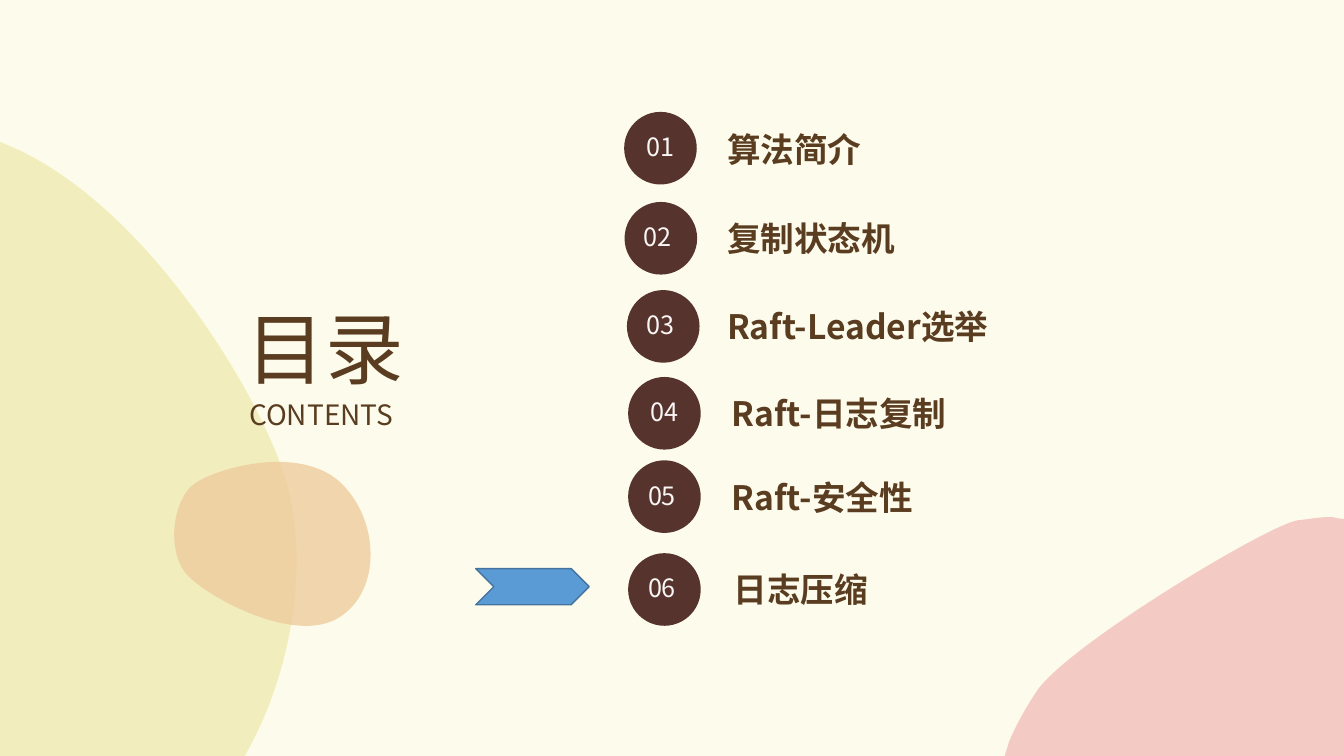
from lxml import etree
from pptx import Presentation
from pptx.dml.color import RGBColor
from pptx.enum.shapes import MSO_SHAPE
from pptx.enum.text import MSO_ANCHOR, MSO_AUTO_SIZE, PP_ALIGN
from pptx.oxml.ns import qn
from pptx.util import Cm, Pt

OVAL, ARROW = MSO_SHAPE.OVAL, MSO_SHAPE.CHEVRON
TOP, MIDDLE = MSO_ANCHOR.TOP, MSO_ANCHOR.MIDDLE
LEFT, CENTER = PP_ALIGN.LEFT, PP_ALIGN.CENTER
FIXED = MSO_AUTO_SIZE.NONE

THEME = {
    "font": "Noto Sans CJK SC",
    "paper": "FDFCEC", "brown": "5A3D20", "dot": "56342D", "pale": "FAF6F5",
    "pink": "F4CBC4", "green": "F1EDBC", "peach": "EECC9E",
    "blue": "5B9BD5", "navy": "43739E",
    "title": 56, "label": 24, "sub": 20, "digit": 18,
}
LINE = Pt(THEME["label"] * 1.2)


def write(para, text, size, color, align=CENTER, bold=False):
    para.alignment = align
    run = para.add_run()
    run.text = text
    run.font.color.rgb = RGBColor.from_string(THEME[color])
    look = {"name": THEME["font"], "size": Pt(THEME[size]), "bold": bold}
    for key, value in look.items():
        setattr(run.font, key, value)
    east = etree.SubElement(run._r.get_or_add_rPr(), qn("a:ea"))
    east.set("typeface", THEME["font"])


def paint(shape, color, edge=None):
    shape.shadow.inherit = False
    shape.fill.solid()
    shape.fill.fore_color.rgb = RGBColor.from_string(THEME[color])
    if edge:
        shape.line.color.rgb = RGBColor.from_string(THEME[edge])
        shape.line.width = Pt(1)
    else:
        shape.line.fill.background()


deck = Presentation()
deck.slide_width, deck.slide_height = Cm(33.87), Cm(19.05)
slide = deck.slides.add_slide(deck.slide_layouts[1])
slide.background.fill.solid()
slide.background.fill.fore_color.rgb = RGBColor.from_string(THEME["paper"])
shapes = slide.shapes
title, body = shapes.title, slide.placeholders[1]

blobs = [
    ("pink", 100, (33.48, 13.03), [
        (33.55, 13.03, 33.63, 13.03, 33.71, 13.06),
        (33.87, 13.08), (33.87, 19.05), (25.32, 19.05), (25.43, 18.69),
        (25.6, 18.29, 25.83, 17.86, 26.14, 17.4),
        (26.95, 16.23, 32.03, 13.18, 32.72, 13.11),
        (33, 13.08, 33.25, 13.03, 33.48, 13.03)]),
    ("green", 100, (0, 3.58), [
        (0, 19.05), (6.17, 19.05), (6.32, 18.77),
        (7.37, 16.81, 7.87, 13.94, 7.11, 11.81),
        (6.3, 9.5, 3.43, 4.93, 0.08, 3.61)]),
    ("peach", 80, (4.93, 12.17), [
        (4.32, 12.57, 4.17, 14, 4.78, 14.55),
        (5.36, 15.11, 7.44, 16.23, 8.53, 15.57),
        (9.63, 14.91, 9.58, 13.08, 8.56, 12.14),
        (7.54, 11.23, 5.56, 11.76, 4.93, 12.17)]),
]
for color, alpha, start, parts in blobs:
    pen = shapes.build_freeform(Cm(start[0]), Cm(start[1]))
    for part in parts:
        spots = zip(part[::2], part[1::2])
        pen.add_line_segments([(Cm(x), Cm(y)) for x, y in spots], close=False)
    pen.add_line_segments([], close=True)
    blob = pen.convert_to_shape()
    paint(blob, color)
    lines = iter(blob._element.spPr.findall(".//" + qn("a:lnTo")))
    for part in parts:
        group = [next(lines) for _ in part[::2]]
        if len(group) == 3:
            curve = etree.Element(qn("a:cubicBezTo"))
            group[0].addprevious(curve)
            for line in group:
                curve.append(line[0])
                line.getparent().remove(line)
    if alpha < 100:
        tint = blob._element.spPr.find(".//" + qn("a:srgbClr"))
        etree.SubElement(tint, qn("a:alpha")).set("val", str(alpha * 1000))

for holder in (title, body):
    shapes._spTree.append(holder._element)

sub = shapes.add_textbox(0, 0, 0, 0)
frames = [
    (title, 5.44, 7.44, 5.51, 2.64),
    (sub, 5.44, 9.88, 5.31, 1.12),
    (body, 18.07, 3.12, 7.5, 12.6),
]
for box, *place in frames:
    for key, value in zip(("left", "top", "width", "height"), place):
        setattr(box, key, Cm(value))
    look = {"word_wrap": True, "auto_size": FIXED, "vertical_anchor": TOP}
    for key, value in look.items():
        setattr(box.text_frame, key, value)
write(title.text_frame.paragraphs[0], "目录", "title", "brown")
write(sub.text_frame.paragraphs[0], "CONTENTS", "sub", "brown")

DOT = Cm(1.83)
items = [
    ("算法简介", 3.12, 0, 15.73, 2.82, 0),
    ("复制状态机", 5.36, 0, 15.74, 5.09, 0.09),
    ("Raft-Leader选举", 7.59, 0, 15.8, 7.31, 0.06),
    ("Raft-日志复制", 9.78, 0.12, 15.83, 9.5, 0),
    ("Raft-安全性", 11.89, 0.12, 15.83, 11.6, 0.06),
    ("日志压缩", 14.22, 0.16, 15.83, 13.94, 0.06),
]
last = None
for num, (text, y, indent, left, top, slip) in enumerate(items, 1):
    frame = body.text_frame
    para = frame.paragraphs[0] if last is None else frame.add_paragraph()
    props = para._p.get_or_add_pPr()
    props.set("marL", str(Cm(indent)))
    props.set("indent", "0")
    etree.SubElement(props, qn("a:buNone"))
    para.space_before = Pt(0) if last is None else Cm(y - last) - LINE
    write(para, text, "label", "brown", LEFT, True)
    last = y

    dot = shapes.add_shape(OVAL, Cm(left), Cm(top), DOT, DOT)
    paint(dot, "dot")
    look = {"margin_left": 0, "margin_right": Cm(2 * slip), "margin_top": 0,
            "margin_bottom": Cm(0.08), "vertical_anchor": MIDDLE,
            "word_wrap": True}
    for key, value in look.items():
        setattr(dot.text_frame, key, value)
    write(dot.text_frame.paragraphs[0], f"{num:02}", "digit", "pale")

arrow = shapes.add_shape(ARROW, Cm(11.99), Cm(14.33), Cm(2.86), Cm(0.91))
paint(arrow, "blue", "navy")

deck.save("out.pptx")
